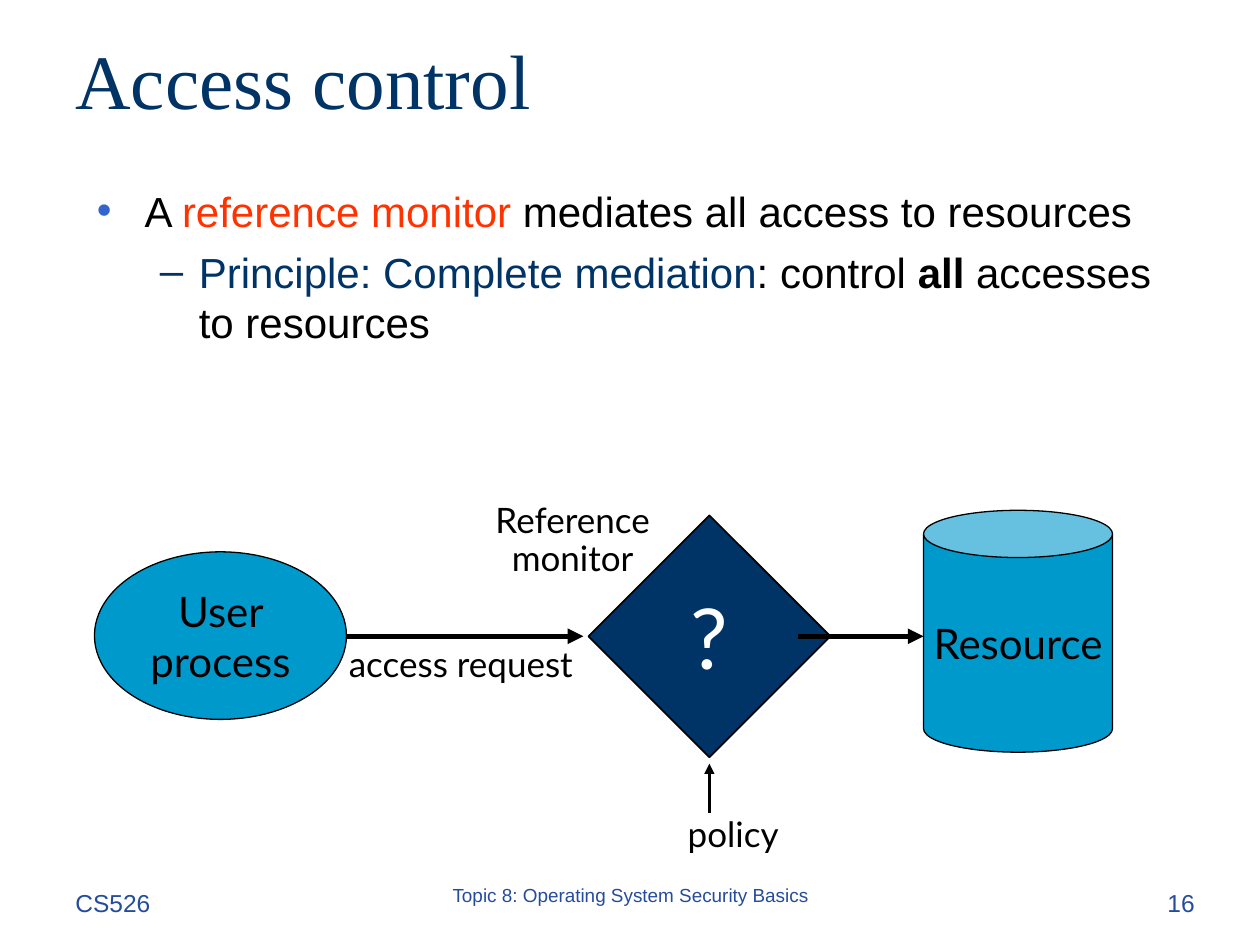
from lxml import etree
from pptx import Presentation
from pptx.dml.color import RGBColor
from pptx.enum.shapes import MSO_CONNECTOR, MSO_SHAPE
from pptx.enum.text import MSO_ANCHOR, PP_ALIGN
from pptx.oxml.ns import qn
from pptx.util import Inches, Pt

LEFT, MID, RIGHT = PP_ALIGN.LEFT, PP_ALIGN.CENTER, PP_ALIGN.RIGHT
TOP, CENTRE = MSO_ANCHOR.TOP, MSO_ANCHOR.MIDDLE
CAN, OVAL, DIAMOND = MSO_SHAPE.CAN, MSO_SHAPE.OVAL, MSO_SHAPE.DIAMOND
BLACK, NAVY, BLUE, RED = "000000", "003366", "0099CC", "FF3300"
FOOT = "254C9C"

# Each paragraph is a list of (text, colour, bold) runs
POINTS = [
    {"runs": [("A ", BLACK, False), ("reference monitor", RED, False),
              (" mediates all access to resources", BLACK, False)],
     "mark": "•", "tint": "3366CC", "margin": 0.38, "hang": 0.38},
    {"runs": [("Principle: Complete mediation", NAVY, False),
              (": control ", BLACK, False), ("all", BLACK, True),
              (" accesses to resources", BLACK, False)],
     "mark": "–", "tint": NAVY, "margin": 0.81, "hang": 0.31},
]
# Box, text, format
TEXTS = [
    ((0.5, 7, 2.08, 0.5), "CS526", dict(size=14, color=FOOT)),
    ((3.42, 7, 3.17, 0.5), "Topic 8: Operating System Security Basics",
     dict(size=10.8, color=FOOT, align=MID, lead=0.8)),
    ((7.5, 7, 2.08, 0.5), "16", dict(size=14, color=FOOT, align=RIGHT)),
    ((0.5, 0, 9, 1.25), "Access control",
     dict(size=44, font="Times New Roman", color=NAVY, anchor=CENTRE)),
    ((3.79, 4, 1.51, 0.64), "Reference\nmonitor",
     dict(size=20, font="Lato", align=MID, lead=0.7, gap=5, wrap=False)),
    ((2.67, 5.05, 2.48, 0.44), "access request", dict(size=20, font="Lato")),
    ((5.36, 6.4, 2.48, 0.44), "policy", dict(size=20, font="Lato")),
]
# Preset, box, fill, line width, text, format
NODES = [
    (CAN, (7.33, 4.05, 1.5, 1.92), BLUE, 0.75, "Resource",
     dict(size=24, wrap=False)),
    (OVAL, (0.75, 4.38, 2, 1.33), BLUE, 0.75, "User process", dict(size=24)),
    (DIAMOND, (4.67, 4.09, 1.92, 1.92), NAVY, 1, "?",
     dict(size=48, color="FFFFFF", wrap=False)),
]
# Start, end, width
ARROWS = [
    ((2.75, 5.05), (4.63, 5.05), 3),
    ((6.33, 5.05), (7.33, 5.05), 3),
    ((5.63, 6.45), (5.63, 6.06), 1.5),
]


def rgb(code):
    return RGBColor.from_string(code)


def style(font, size, name, color, bold=False):
    font.size, font.name, font.bold = Pt(size), name, bold
    font.color.rgb = rgb(color)


def write(shape, text, size=24, font="Arial", color=BLACK, align=LEFT,
          anchor=TOP, lead=None, gap=0, wrap=True):
    """Fill a shape with text, one paragraph for each line."""
    frame = shape.text_frame
    frame.word_wrap, frame.vertical_anchor = wrap, anchor
    for i, line in enumerate(text.split("\n")):
        para = frame.add_paragraph() if i else frame.paragraphs[0]
        para.alignment = align
        if lead:
            para.line_spacing = lead
        if i:
            para.space_before = Pt(gap)
        run = para.add_run()
        run.text = line
        style(run.font, size, font, color)


def bullet(para, mark, tint, margin, hang):
    props = para._p.get_or_add_pPr()
    props.set("marL", str(Inches(margin)))
    props.set("indent", str(-Inches(hang)))
    hue = etree.SubElement(props, qn("a:buClr"))
    etree.SubElement(hue, qn("a:srgbClr"), val=tint)
    etree.SubElement(props, qn("a:buFont"), typeface="Arial")
    etree.SubElement(props, qn("a:buChar"), char=mark)


def add_box(slide, box):
    return slide.shapes.add_textbox(*map(Inches, box))


def add_points(slide, box):
    frame = add_box(slide, box).text_frame
    frame.word_wrap = True
    for i, point in enumerate(POINTS):
        para = frame.add_paragraph() if i else frame.paragraphs[0]
        bullet(para, point["mark"], point["tint"], point["margin"],
               point["hang"])
        if i:
            para.level = i
            para.space_before = Pt(6)
        for text, color, bold in point["runs"]:
            run = para.add_run()
            run.text = text
            style(run.font, 24, "Arial", color, bold)


def add_node(slide, kind, box, fill, width, text, form):
    node = slide.shapes.add_shape(kind, *map(Inches, box))
    node.shadow.inherit = False
    node.fill.solid()
    node.fill.fore_color.rgb = rgb(fill)
    node.line.color.rgb = rgb(BLACK)
    node.line.width = Pt(width)
    write(node, text, font="Lato", align=MID, anchor=CENTRE, **form)


def add_arrow(slide, start, end, width):
    arrow = slide.shapes.add_connector(
        MSO_CONNECTOR.STRAIGHT, *map(Inches, start + end))
    arrow.line.color.rgb = rgb(BLACK)
    arrow.line.width = Pt(width)
    etree.SubElement(arrow.line._get_or_add_ln(), qn("a:tailEnd"),
                     type="triangle")
    etree.SubElement(arrow._element.spPr, qn("a:effectLst"))


def main():
    deck = Presentation()
    deck.slide_width, deck.slide_height = Inches(10), Inches(7.5)
    slide = deck.slides.add_slide(deck.slide_layouts[6])
    for box, text, form in TEXTS:
        write(add_box(slide, box), text, **form)
    add_points(slide, (0.67, 1.42, 8.67, 2.25))
    for node in NODES:
        add_node(slide, *node)
    for arrow in ARROWS:
        add_arrow(slide, *arrow)
    deck.save("out.pptx")


if __name__ == "__main__":
    main()
